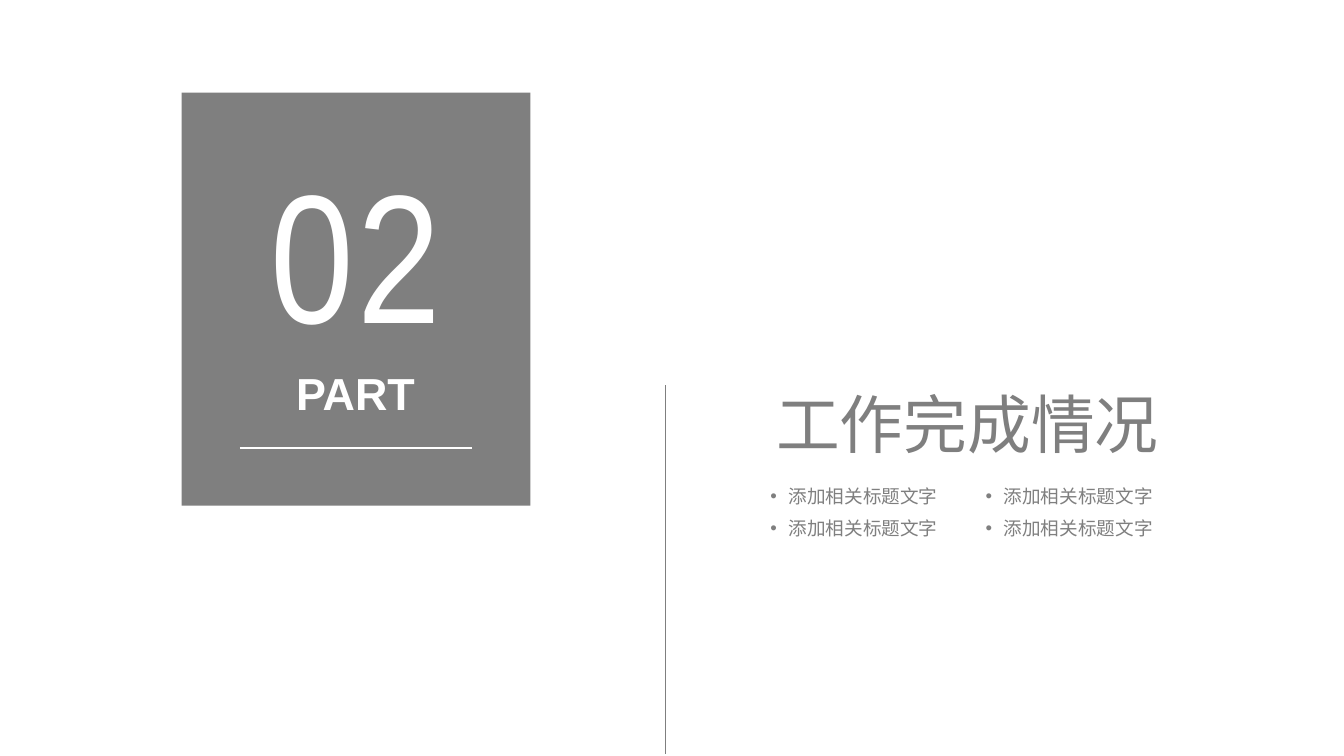
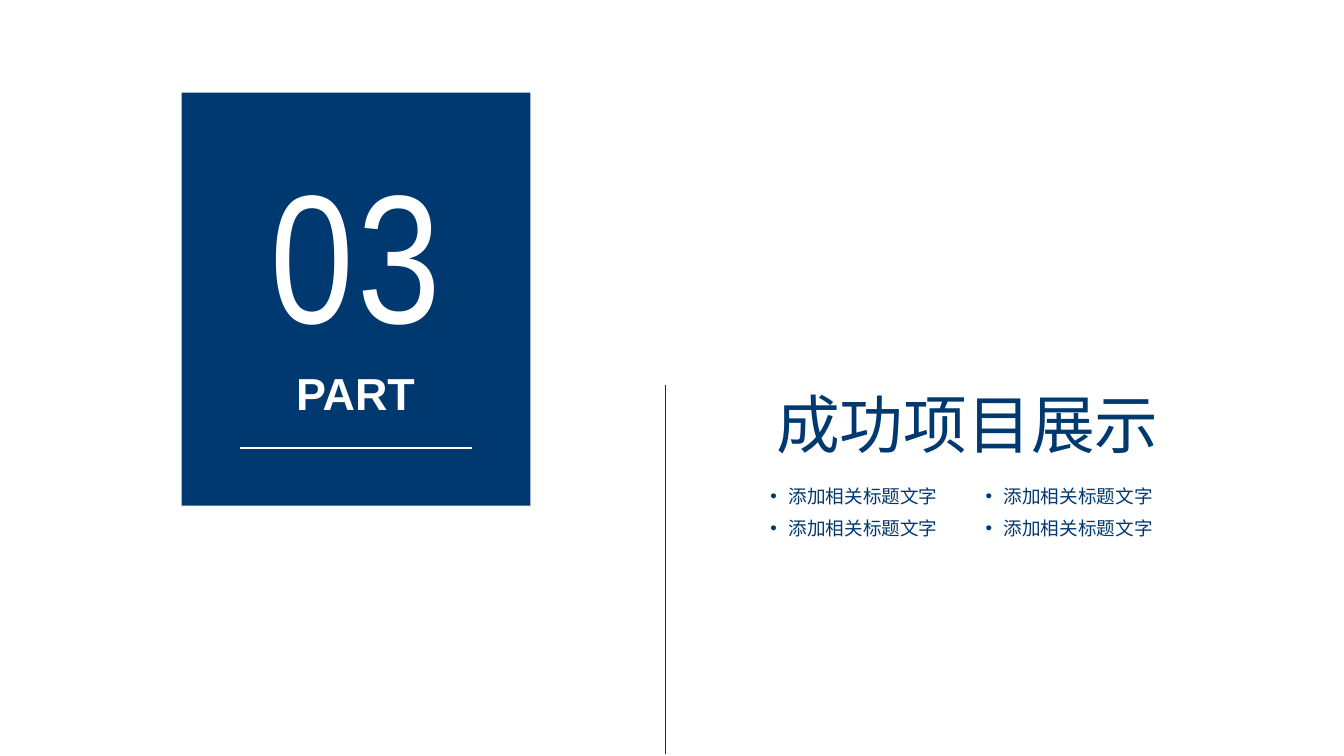
from itertools import product

from lxml import etree
from pptx import Presentation
from pptx.dml.color import RGBColor
from pptx.enum.shapes import MSO_CONNECTOR, MSO_SHAPE
from pptx.enum.text import MSO_AUTO_SIZE, PP_ALIGN
from pptx.oxml.ns import qn
from pptx.util import Inches, Pt

RECTANGLE = MSO_SHAPE.RECTANGLE
STRAIGHT = MSO_CONNECTOR.STRAIGHT
GROW = MSO_AUTO_SIZE.SHAPE_TO_FIT_TEXT
LEFT, CENTER = PP_ALIGN.LEFT, PP_ALIGN.CENTER

WHITE, GREY, NAVY = "FFFFFF", "7F7F7F", "003970"
BULLET_TEXT = "添加相关标题文字"
BULLET_LEFTS = (8.06, 10.31)
BULLET_TOPS = (5.07, 5.41)
SECTIONS = (
    ("02", "工作完成情况", GREY),
    ("03", "成功项目展示", NAVY),
)


def add_text(page, text, *, at, size, color, font="Arial", bold=False,
             align=LEFT, margins=(0, 0), spacing=0, bullet=False):
    box = page.shapes.add_textbox(*map(Inches, at))
    frame = box.text_frame
    frame.word_wrap = True
    frame.auto_size = GROW
    frame.margin_left = frame.margin_right = Inches(margins[0])
    frame.margin_top = frame.margin_bottom = Inches(margins[1])
    para = frame.paragraphs[0]
    para.alignment = align
    if bullet:
        properties = para._p.get_or_add_pPr()
        properties.set("marL", str(Inches(0.19)))
        properties.set("indent", str(-Inches(0.19)))
        etree.SubElement(properties, qn("a:buFont")).set("typeface", "Arial")
        etree.SubElement(properties, qn("a:buChar")).set("char", "•")
    span = para.add_run()
    span.text = text
    span.font.name = font
    span.font.size = Pt(size)
    span.font.bold = bold
    span.font.color.rgb = RGBColor.from_string(color)
    if spacing:
        span.font._element.set("spc", str(spacing * 100))


def add_line(page, start, end, color, width):
    line = page.shapes.add_connector(STRAIGHT, *map(Inches, start + end))
    line.line.color.rgb = RGBColor.from_string(color)
    line.line.width = Pt(width)
    etree.SubElement(line._element.spPr, qn("a:effectLst"))


deck = Presentation()
deck.slide_width = Inches(14.06)
deck.slide_height = Inches(7.91)
blank = deck.slide_layouts[6]

for number, title, accent in SECTIONS:
    page = deck.slides.add_slide(blank)

    panel = page.shapes.add_shape(RECTANGLE, *map(Inches, (1.9, 0.97, 3.65, 4.32)))
    panel.shadow.inherit = False
    panel.fill.solid()
    panel.fill.fore_color.rgb = RGBColor.from_string(accent)
    panel.line.fill.background()

    add_line(page, (2.51, 4.69), (4.94, 4.69), WHITE, 1.5)
    add_text(page, "PART", at=(2.38, 3.83, 2.68, 0.57), size=33.8,
             color=WHITE, bold=True, align=CENTER)
    add_line(page, (6.96, 4.03), (6.96, 7.89), accent, 0.5)
    add_text(page, title, at=(8.12, 4.03, 4.72, 0.81), size=48, color=accent)
    add_text(page, number, at=(2.34, 1.42, 2.76, 2.42), size=138, color=WHITE,
             font="Arial Narrow", align=CENTER, margins=(0.1, 0.05), spacing=3)

    for top, left in product(BULLET_TOPS, BULLET_LEFTS):
        add_text(page, BULLET_TEXT, at=(left, top, 2.01, 0.24), size=14,
                 color=accent, bullet=True)

deck.save("out.pptx")
